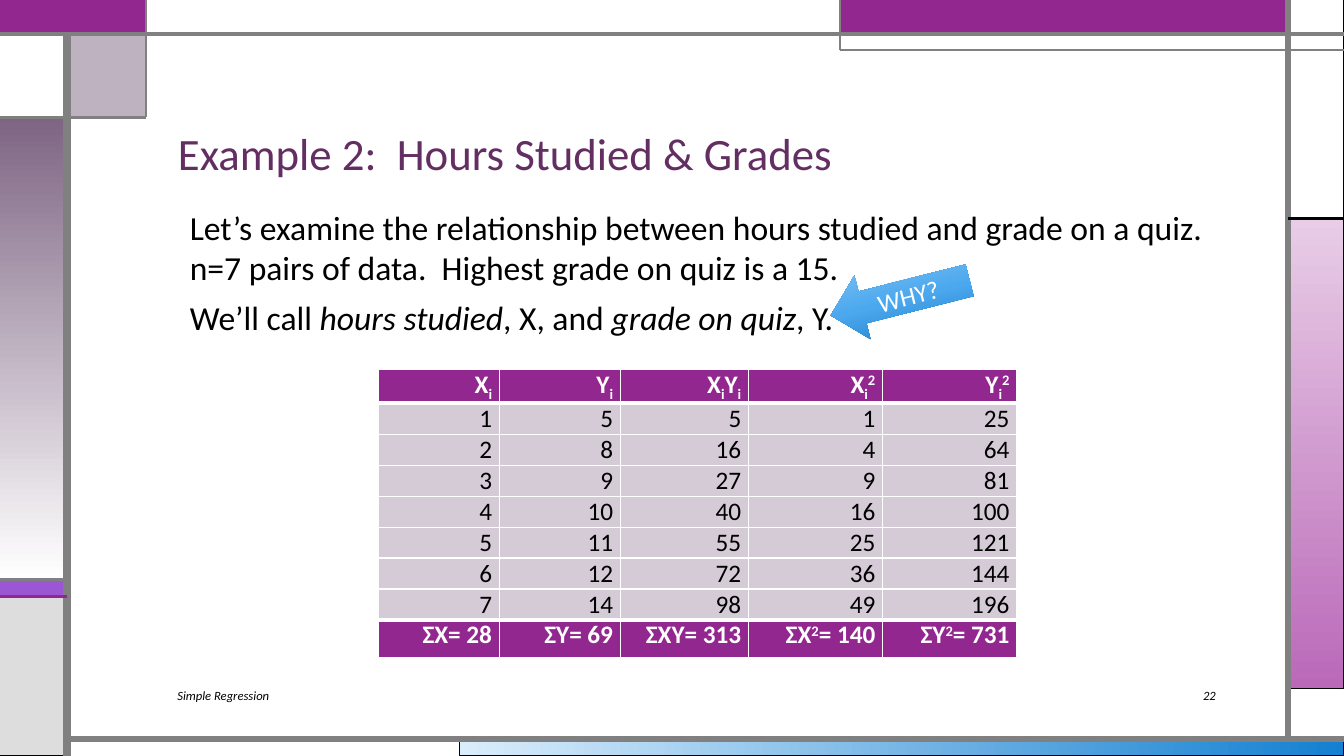
"""Build the slide on hours studied and quiz grades."""
from lxml.etree import SubElement
from pptx import Presentation
from pptx.dml.color import RGBColor
from pptx.enum.shapes import MSO_CONNECTOR, MSO_SHAPE
from pptx.enum.text import MSO_ANCHOR, MSO_AUTO_SIZE, PP_ALIGN
from pptx.oxml.ns import qn
from pptx.util import Cm, Pt

FONT = "Calibri"
WIDE, HIGH = 33.87, 19.05
PLUM, GRAY, WHITE, BLACK = "92278F", "808080", "FFFFFF", "000000"

TITLE = "Example 2:  Hours Studied & Grades"
BODY = [
    ["Let’s examine the relationship between hours studied and grade on a quiz. "
     "n=7 pairs of data.  Highest grade on quiz is a 15."],
    ["We’ll call ", "/hours studied", ", X, and ", "/grade on quiz", ", Y."],
]
HEAD = [["X", "_i"], ["Y", "_i"], ["X", "_i", "Y", "_i"],
        ["X", "_i", "^2"], ["Y", "_i", "^2"]]
PAIRS = [(1, 5), (2, 8), (3, 9), (4, 10), (5, 11), (6, 12), (7, 14)]
SUMS = [["ΣX= 28"], ["ΣY= 69"], ["ΣXY= 313"],
        ["ΣX", "^2", "= 140"], ["ΣY", "^2", "= 731"]]
COLS = [3.05, 3.05, 3.23, 3.38, 3.38]
ROWS = [0.86] + [0.78] * 7 + [0.94]
NOTES = [
    (4.22, 19.08, "Simple Regression", PP_ALIGN.LEFT),
    (28.14, 2.75, "22", PP_ALIGN.RIGHT),
]

# left, top, right, bottom, fill stops, angle, line colour, line width
PANELS = [
    (11.57, 18.63, WIDE, HIGH, ["DAEDFB", "1480D1"], 0, BLACK, 0.75),
    (32.46, 5.5, WIDE, 17.36, ["E8CDE7", "BA69B8"], 90, BLACK, 0.75),
    (0, 14.6, 1.69, 15.03, ["9B57D3"], 0, BLACK, 0.75),
    (0, 15.03, 1.69, HIGH, ["DDDDDD"], 0, BLACK, 0.75),
    (32.46, 0, WIDE, 5.5, [WHITE], 0, BLACK, 0.75),
    (21.17, 0, 32.46, 0.85, [PLUM], 0, "755DD9", 0.75),
    (1.69, 0.85, 3.67, 2.96, ["7E6583"], 0, BLACK, 0.75),
    (0, 2.96, 1.69, 14.6, ["7E6583", WHITE], 90, BLACK, 0.75),
    (0, 0.85, 1.69, 2.96, [WHITE], 0, BLACK, 0.75),
    (0, 0, 3.67, 0.85, [PLUM], 0, PLUM, 1.5),
    (3.67, 0, 21.17, 0.85, [WHITE], 0, GRAY, 0.75),
]
GLASS = 6
BARS = [
    (1.69, HIGH, 1.69, 0.85, GRAY, 6),
    (1.69, 18.63, WIDE, 18.63, GRAY, 4.5),
    (32.46, 18.63, 32.46, 0, GRAY, 4.5),
    (0, 0.85, WIDE, 0.85, GRAY, 3),
    (WIDE, 1.27, 21.17, 1.27, GRAY, 1.5),
    (21.17, 1.27, 21.17, 0, GRAY, 1.5),
    (32.46, 5.5, WIDE, 5.5, BLACK, 2.25),
    (3.67, 0, 3.67, 2.96, GRAY, 1.5),
    (3.67, 2.96, 0, 2.96, GRAY, 2.25),
    (1.69, 14.6, 0, 14.6, GRAY, 2.25),
    (1.69, 15.03, 0, 15.03, PLUM, 2.25),
]


def tint(hue):
    return RGBColor.from_string(hue)


def place(shape, left, top, wide, high):
    shape.left, shape.top = Cm(left), Cm(top)
    shape.width, shape.height = Cm(wide), Cm(high)


def write(para, parts, size, hue, bold=False, slant=False, side=PP_ALIGN.LEFT):
    para.alignment = side
    for part in parts:
        mark = part[0] if part[0] in "_^/" else ""
        run = para.add_run()
        run.text = part[len(mark):]
        font = run.font
        font.name, font.size, font.bold = FONT, Pt(size), bold
        font.italic = slant or mark == "/"
        font.color.rgb = tint(hue)
        if mark in ("_", "^"):
            font.element.set("baseline", "-25000" if mark == "_" else "30000") \
                if hasattr(font, "element") else \
                run._r.get_or_add_rPr().set("baseline", "-25000" if mark == "_" else "30000")


def paint(shape, stops, angle):
    shape.shadow.inherit = False
    if len(stops) == 1:
        shape.fill.solid()
        shape.fill.fore_color.rgb = tint(stops[0][1])
        return
    shape.fill.gradient()
    shape.fill.gradient_angle = -angle % 360
    ramp = shape.element.spPr.find(qn("a:gradFill")).find(qn("a:gsLst"))
    for old in list(ramp):
        ramp.remove(old)
    for spot, hue in stops:
        stop = SubElement(ramp, qn("a:gs"), pos=str(spot * 1000))
        SubElement(stop, qn("a:srgbClr"), val=hue)


def frame(shapes):
    for slot, (left, top, right, low, hues, angle, edge, thick) in enumerate(PANELS):
        panel = shapes.add_shape(MSO_SHAPE.RECTANGLE, Cm(left), Cm(top),
                                 Cm(right - left), Cm(low - top))
        paint(panel, list(zip((0, 100), hues)), angle)
        panel.line.color.rgb, panel.line.width = tint(edge), Pt(thick)
        if slot == GLASS:
            shade = panel.element.spPr.find(qn("a:solidFill"))[0]
            SubElement(shade, qn("a:alpha"), val="50000")
    for *ends, hue, thick in BARS:
        bar = shapes.add_connector(MSO_CONNECTOR.STRAIGHT, *map(Cm, ends))
        bar.line.color.rgb, bar.line.width = tint(hue), Pt(thick)
        SubElement(bar.element.spPr, qn("a:effectLst"))


def edge(cell, top, low):
    props = cell._tc.get_or_add_tcPr()
    for slot, (side, thick) in enumerate(zip("LRTB", (1, 1, top, low))):
        line = SubElement(props, qn("a:ln" + side), w=str(Pt(thick)))
        SubElement(SubElement(line, qn("a:solidFill")), qn("a:srgbClr"), val=WHITE)
        props.insert(slot, line)


def chart(shapes):
    rows = [[[str(n)] for n in (x, y, x * y, x * x, y * y)] for x, y in PAIRS]
    rows = [HEAD, *rows, SUMS]
    last = len(rows) - 1
    table = shapes.add_table(len(rows), len(COLS), Cm(9.53), Cm(9.3),
                             Cm(sum(COLS)), Cm(sum(ROWS))).table
    table.horz_banding = False
    for col, wide in zip(table.columns, COLS):
        col.width = Cm(wide)
    for r, row in enumerate(rows):
        table.rows[r].height = Cm(ROWS[r])
        bold = r in (0, last)
        for c, parts in enumerate(row):
            cell = table.cell(r, c)
            cell.margin_left = cell.margin_right = Cm(0.18)
            cell.margin_top = cell.margin_bottom = 0
            cell.fill.solid()
            cell.fill.fore_color.rgb = tint(PLUM if bold else "D5CBD7")
            edge(cell, 3 if r in (1, last) else 1, 3 if r in (0, last - 1) else 1)
            write(cell.text_frame.paragraphs[0], parts, 18,
                  WHITE if bold else BLACK, bold, side=PP_ALIGN.RIGHT)


def main():
    deck = Presentation()
    deck.slide_width, deck.slide_height = Cm(WIDE), Cm(HIGH)
    slide = deck.slides.add_slide(deck.slide_layouts[1])
    shapes = slide.shapes
    title, body = shapes.title, slide.placeholders[1]
    frame(shapes)
    for holder in (title, body):
        shapes.element.append(holder.element)
        holder.text_frame.word_wrap = True
        holder.text_frame.auto_size = MSO_AUTO_SIZE.NONE

    place(title, 4.23, 1.48, 26.67, 3.18)
    title.text_frame.vertical_anchor = MSO_ANCHOR.BOTTOM
    head = title.text_frame.paragraphs[0]
    head.line_spacing = 0.9
    write(head, [TITLE], 32, "632E62")

    place(body, 4.23, 5.08, 26.67, 11.63)
    for slot, parts in enumerate(BODY):
        text = body.text_frame
        para = text.add_paragraph() if slot else text.paragraphs[0]
        props = para._p.get_or_add_pPr()
        props.set("marL", str(Cm(0.3)))
        props.set("indent", "0")
        SubElement(props, qn("a:buNone"))
        para.space_before = Pt(6.8 if slot else 0)
        write(para, parts, 24, BLACK)

    chart(shapes)
    for left, wide, words, side in NOTES:
        note = shapes.add_textbox(Cm(left), Cm(17.15), Cm(wide), Cm(0.76)).text_frame
        note.word_wrap, note.vertical_anchor = True, MSO_ANCHOR.MIDDLE
        write(note.paragraphs[0], [words], 9, BLACK, slant=True, side=side)

    arrow = shapes.add_shape(MSO_SHAPE.LEFT_ARROW, Cm(20.88), Cm(6.68), Cm(3.61), Cm(1.65))
    arrow.rotation = 345.8
    paint(arrow, [(0, "1273BB"), (48, "4BA8EE"), (100, "8FC9F4")], 270)
    arrow.line.fill.background()
    arrow.text_frame.vertical_anchor = MSO_ANCHOR.MIDDLE
    write(arrow.text_frame.paragraphs[0], ["WHY?"], 18, WHITE, side=PP_ALIGN.CENTER)
    deck.save("out.pptx")


if __name__ == "__main__":
    main()
